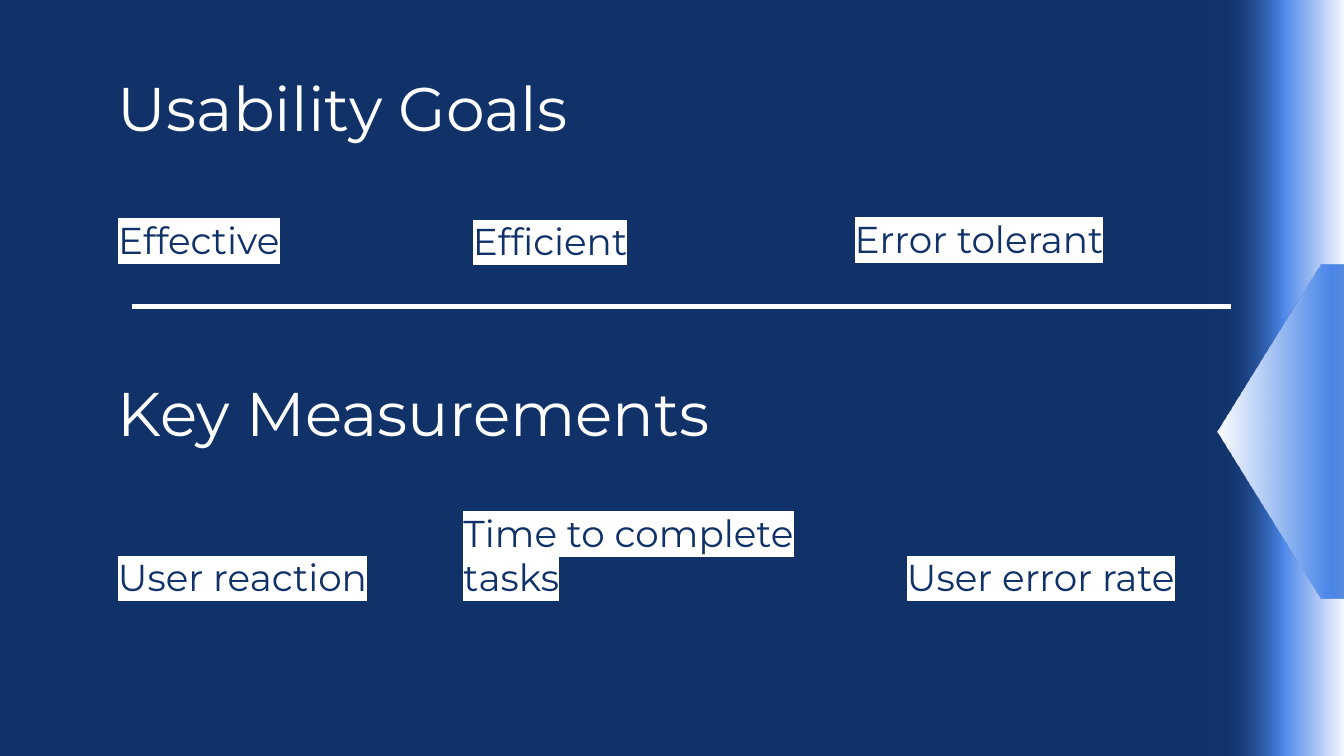
import pptx
import pptx.dml.color
import pptx.enum.shapes
import pptx.enum.text
import pptx.oxml
import pptx.oxml.ns
import pptx.util
from pptx.util import Inches

NAVY = "103269"
WHITE = "FFFFFF"
FONT = "Montserrat"
GLOW_STOPS = [(0, "1C4587", 0), (32, "1C4587", 15), (63, "4A86E8", 100), (100, WHITE, 100)]
GOALS = [
    ("Effective", 0.78, 1.61, 2.38),
    ("Efficient", 3.42, 1.62, 2.38),
    ("Error tolerant", 6.26, 1.6, 2.91),
]
MEASUREMENTS = [
    ("User reaction", 0.78, 4.12, 2.64),
    ("Time to complete tasks", 3.35, 4.12, 3.3),
    ("User error rate", 6.65, 4.12, 2.78),
]


def rgb(value):
    return pptx.dml.color.RGBColor.from_string(value)


def drawing_element(tag, content=""):
    return pptx.oxml.parse_xml(
        f'<a:{tag} {pptx.oxml.ns.nsdecls("a")}>{content}</a:{tag}>'
    )


def add_text(slide, text, left, top, width, height, size, color, anchor):
    box = slide.shapes.add_textbox(Inches(left), Inches(top), Inches(width), Inches(height))
    frame = box.text_frame
    frame.word_wrap = True
    frame.vertical_anchor = anchor
    frame.margin_left = frame.margin_right = Inches(0.1)
    frame.margin_top = frame.margin_bottom = Inches(0.1)
    frame.text = text
    run = frame.paragraphs[0].runs[0]
    run.font.size = pptx.util.Pt(size)
    run.font.name = FONT
    run.font.color.rgb = rgb(color)
    return run


def add_heading(slide, text, top):
    add_text(slide, text, 0.78, top, 8.44, 0.89, 33, WHITE,
             pptx.enum.text.MSO_ANCHOR.MIDDLE)


def add_highlighted_label(slide, text, left, top, width):
    run = add_text(slide, text, left, top, width, 0.44, 20, NAVY,
                   pptx.enum.text.MSO_ANCHOR.BOTTOM)
    highlight = drawing_element("highlight", f'<a:srgbClr val="{WHITE}"/>')
    run.font._element.find(pptx.oxml.ns.qn("a:solidFill")).addnext(highlight)


def add_glow(slide, preset, left, top, width, height, rotation, angle):
    glow = slide.shapes.add_shape(
        preset, Inches(left), Inches(top), Inches(width), Inches(height))
    glow.rotation = rotation
    glow.shadow.inherit = False
    glow.line.fill.background()
    glow.fill.background()
    stops = "".join(
        f'<a:gs pos="{position * 1000}"><a:srgbClr val="{color}">'
        f'<a:alpha val="{opacity * 1000}"/></a:srgbClr></a:gs>'
        for position, color, opacity in GLOW_STOPS
    )
    gradient = drawing_element(
        "gradFill", f'<a:gsLst>{stops}</a:gsLst><a:lin ang="{angle * 60000}" scaled="0"/>')
    gradient.set("rotWithShape", "1")
    properties = glow._element.spPr
    properties.replace(properties.find(pptx.oxml.ns.qn("a:noFill")), gradient)
    return glow


def add_divider(slide, left, right, y):
    divider = slide.shapes.add_connector(
        pptx.enum.shapes.MSO_CONNECTOR.STRAIGHT,
        Inches(left), Inches(y), Inches(right), Inches(y))
    divider.line.color.rgb = rgb(WHITE)
    divider.line.width = pptx.util.Pt(2.25)
    divider._element.spPr.append(drawing_element("effectLst"))


def main():
    deck = pptx.Presentation()
    deck.slide_width = Inches(10)
    deck.slide_height = Inches(10 * 9 / 16)
    slide = deck.slides.add_slide(deck.slide_layouts[6])
    slide.background.fill.solid()
    slide.background.fill.fore_color.rgb = rgb(NAVY)

    presets = pptx.enum.shapes.MSO_SHAPE
    add_glow(slide, presets.RECTANGLE, 6.54, 2.16, 5.65, 1.3, 90, 270)
    add_heading(slide, "Usability Goals", 0.35)
    for label in GOALS + MEASUREMENTS:
        add_highlighted_label(slide, *label)
    add_divider(slide, 0.98, 9.16, 2.28)
    pointer = add_glow(slide, presets.PENTAGON, 9.06, 1.97, 2.26, 2.48, 180, 0)
    pointer.adjustments[0] = 0.34
    add_heading(slide, "Key Measurements", 2.62)
    deck.save("out.pptx")


if __name__ == "__main__":
    main()
